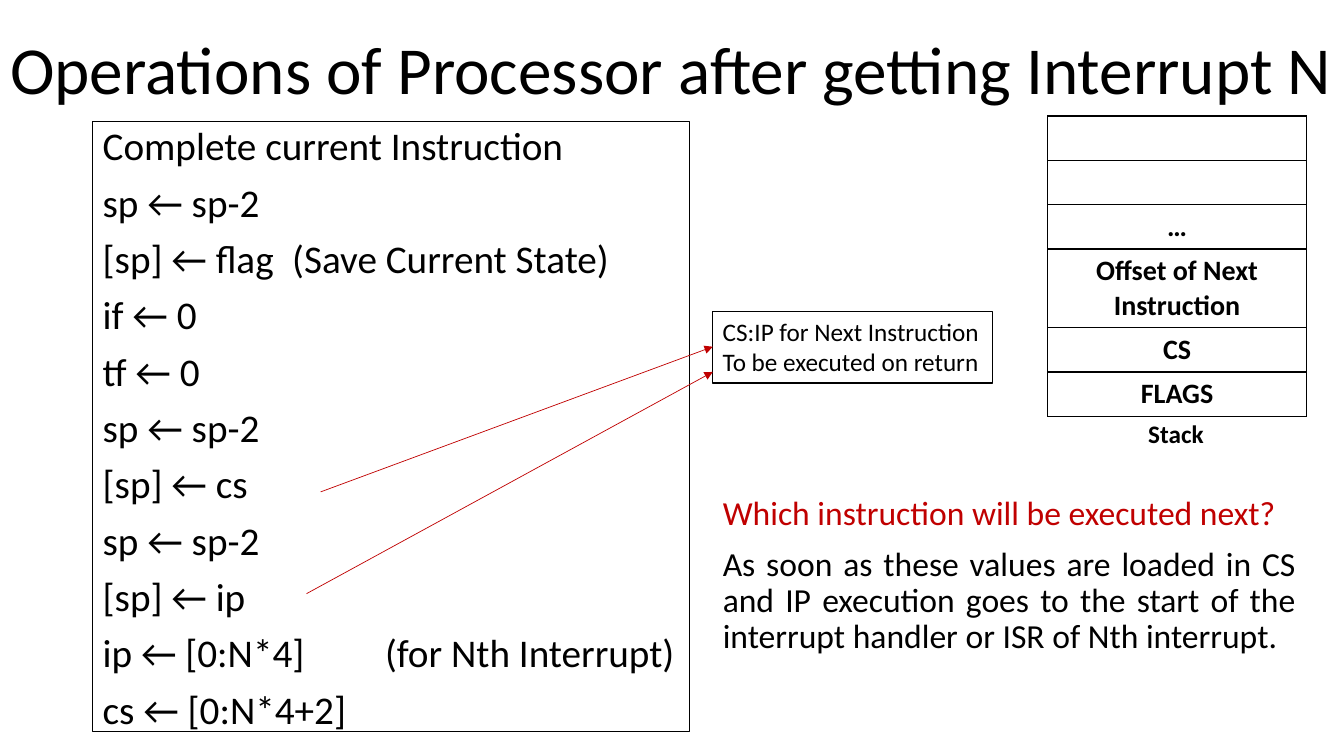
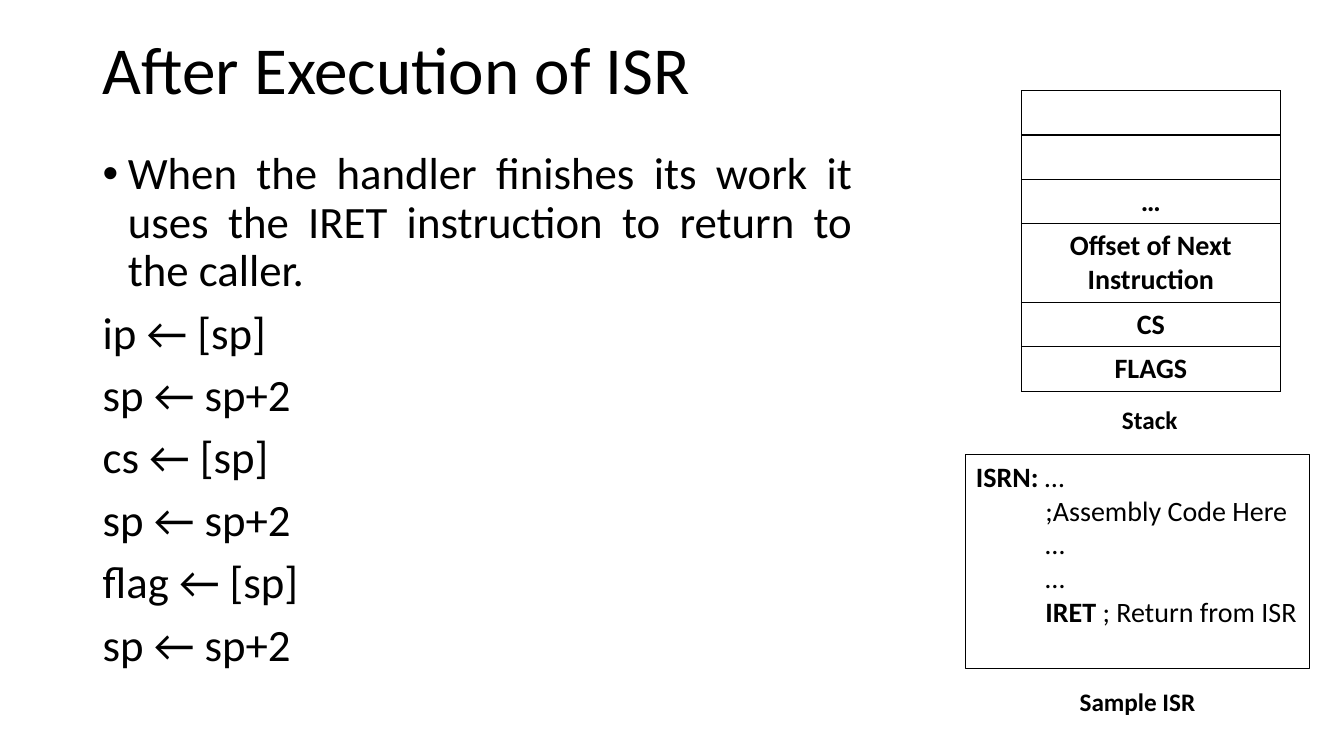
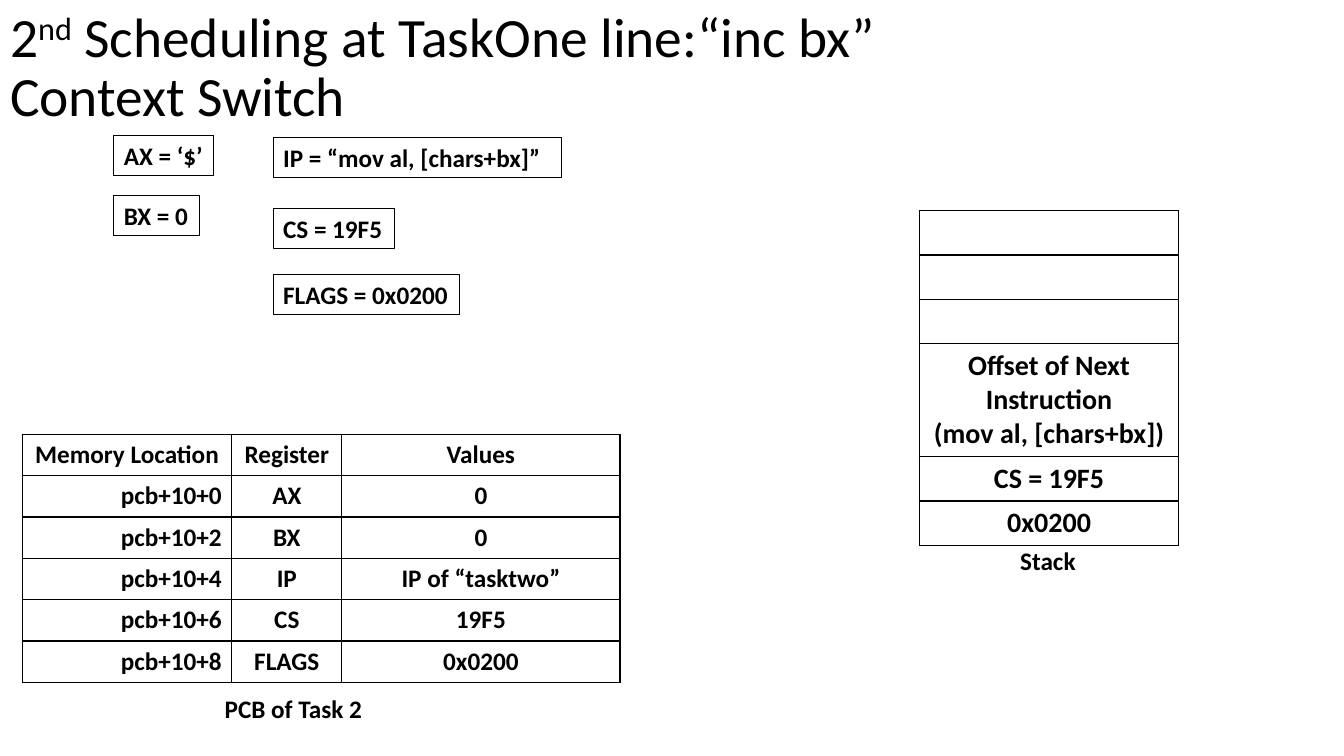
"""Build three slides on interrupt handling, the stack and a context switch."""
from dataclasses import dataclass

from lxml import etree
from pptx import Presentation
from pptx.dml.color import RGBColor
from pptx.enum.shapes import MSO_CONNECTOR, MSO_SHAPE
from pptx.enum.text import MSO_ANCHOR, MSO_AUTO_SIZE, PP_ALIGN
from pptx.oxml.ns import qn
from pptx.util import Pt

LEFT, CENTER, RIGHT = PP_ALIGN.LEFT, PP_ALIGN.CENTER, PP_ALIGN.RIGHT
JUSTIFY = PP_ALIGN.JUSTIFY
TOP, MIDDLE = MSO_ANCHOR.TOP, MSO_ANCHOR.MIDDLE
FIXED_SIZE = MSO_AUTO_SIZE.NONE
RECTANGLE = MSO_SHAPE.RECTANGLE
STRAIGHT = MSO_CONNECTOR.STRAIGHT
TITLE_ONLY = 5
EMU_PER_PX = 9144


@dataclass(frozen=True)
class Theme:
    """Colours, font, type sizes and line widths."""
    font: str = "Calibri"
    ink: str = "000000"
    paper: str = "FFFFFF"
    accent: str = "C00000"
    title: float = 48
    long_title: float = 39.6
    body: int = 32
    steps: int = 28
    question: int = 24
    stack: int = 20
    label: int = 18
    box_line: float = 0.75
    arrow_line: float = 0.5
    cell_line: float = 1


THEME = Theme()
SLIDE_SIZE = (1333, 750)
STACK_WIDTH = 257
STACK_LINE, STACK_PADDING = 34, 10
PCB_ROW = 41
BULLET_INDENT = 25
CODE_INDENT = 69
PROSE = {"line_spacing": 0.9, "space_before": 10}
BOLD = {"bold": True}

INTERRUPT = {
    "title": ["Operations of Processor after getting Interrupt N"],
    "steps": [
        "Complete current Instruction",
        "sp ← sp-2",
        "[sp] ← flag\t(Save Current State)",
        "if ← 0",
        "tf ← 0",
        "sp ← sp-2",
        "[sp] ← cs",
        "sp ← sp-2",
        "[sp] ← ip",
        "ip ← [0:N*4]\t(for Nth Interrupt)",
        "cs ← [0:N*4+2]",
    ],
    "step_tabs": (188, 280),
    "return_address": ["CS:IP for Next Instruction", "To be executed on return"],
    "question": [
        [("Which instruction will be executed next?", {"color": THEME.accent})],
        "As soon as these values are loaded in CS and IP execution goes to the "
        "start of the interrupt handler or ISR of Nth interrupt.",
    ],
    "arrows": [((318, 488), (707, 344)), ((304, 589), (707, 369))],
}
STACK_AFTER_INTERRUPT = [[], [], ["…"], ["Offset of Next", "Instruction"], ["CS"], ["FLAGS"]]

RETURN = {
    "title": ["After Execution of ISR"],
    "summary": "When the handler finishes its work it uses the IRET instruction "
               "to return to the caller.",
    "steps": ["ip ← [sp]", "sp ← sp+2", "cs ← [sp]", "sp ← sp+2",
              "flag ← [sp]", "sp ← sp+2"],
    "isr_head": [("ISRN: ", BOLD), ("…", {})],
    "isr_body": [";Assembly Code Here", "…", "…",
                 [("IRET", BOLD), (" ; Return from ISR", {})]],
}

SWITCH = {
    "title": ["2", ("nd", {"baseline": 30000}),
              " Scheduling at TaskOne line:“inc bx”\vContext Switch"],
    "registers": [
        ("AX = ‘$’", (113, 134, 99, 40)),
        ("BX = 0", (113, 194, 85, 40)),
        ("IP = “mov al, [chars+bx]”", (271, 136, 286, 40)),
        ("CS = 19F5", (271, 207, 120, 40)),
        ("FLAGS = 0x0200", (271, 272, 185, 40)),
    ],
    "stack": [[], [], [], ["Offset of Next", "Instruction", "(mov al, [chars+bx])"],
              ["CS = 19F5"], ["0x0200"]],
    "pcb_widths": (208, 109, 276),
    "pcb_header": ("Memory Location", "Register", "Values"),
    "pcb": [("AX", "0"), ("BX", "0"), ("IP", "IP of “tasktwo”"),
            ("CS", "19F5"), ("FLAGS", "0x0200")],
}


def px(value):
    """Turn pixels into EMU."""
    return round(value * EMU_PER_PX)


def add_run(paragraph, text, size, color=THEME.ink, bold=False, baseline=None):
    """Add one formatted run, with a line break at each vertical tab."""
    for index, part in enumerate(text.split("\v")):
        if index:
            paragraph.add_line_break()
        run = paragraph.add_run()
        run.text = part
        run.font.name = THEME.font
        run.font.size = Pt(size)
        run.font.bold = bold
        run.font.color.rgb = RGBColor.from_string(color)
        if baseline:
            run.font._element.set("baseline", str(baseline))


def write(frame, paragraphs, size, align=LEFT, bold=False, line_spacing=None,
          space_before=None):
    """Fill a text frame with paragraphs, each a string or a list of runs."""
    for index, runs in enumerate(paragraphs):
        paragraph = frame.add_paragraph() if index else frame.paragraphs[0]
        paragraph.alignment = align
        if line_spacing:
            paragraph.line_spacing = line_spacing
        if space_before:
            paragraph.space_before = Pt(space_before)
        for run in [runs] if isinstance(runs, str) else runs:
            text, style = (run, {}) if isinstance(run, str) else run
            add_run(paragraph, text, size, **{"bold": bold, **style})


def indent(paragraph, left, first=0):
    """Set the left margin and first-line indent of a paragraph."""
    properties = paragraph._p.get_or_add_pPr()
    properties.set("marL", str(px(left)))
    properties.set("indent", str(px(first)))
    return properties


def add_bullet(paragraph):
    """Give a paragraph a hanging round bullet."""
    properties = indent(paragraph, BULLET_INDENT, -BULLET_INDENT)
    etree.SubElement(properties, qn("a:buFont"), typeface="Arial")
    etree.SubElement(properties, qn("a:buChar"), char="•")


def add_tabs(paragraph, stops):
    """Give a paragraph left tab stops."""
    tabs = etree.SubElement(paragraph._p.get_or_add_pPr(), qn("a:tabLst"))
    for stop in stops:
        etree.SubElement(tabs, qn("a:tab"), pos=str(px(stop)), algn="l")


def add_title(presentation, runs, place, size=THEME.title):
    """Add a slide with its title and return the slide."""
    slide = presentation.slides.add_slide(presentation.slide_layouts[TITLE_ONLY])
    title = slide.shapes.title
    title.left, title.top, title.width, title.height = map(px, place)
    frame = title.text_frame
    frame.auto_size = FIXED_SIZE
    frame.word_wrap = True
    frame.vertical_anchor = MIDDLE
    write(frame, [runs], size, line_spacing=PROSE["line_spacing"])
    return slide


def add_text(slide, paragraphs, place, size, boxed=False, right_inset=0, **style):
    """Add text, outlined when boxed, and return its frame."""
    place = map(px, place)
    if boxed:
        shape = slide.shapes.add_shape(RECTANGLE, *place)
        shape.shadow.inherit = False
        shape.fill.background()
        shape.line.color.rgb = RGBColor.from_string(THEME.ink)
        shape.line.width = Pt(THEME.box_line)
    else:
        shape = slide.shapes.add_textbox(*place)
    frame = shape.text_frame
    frame.word_wrap = True
    frame.auto_size = FIXED_SIZE
    frame.vertical_anchor = TOP
    frame.margin_right = px(right_inset)
    write(frame, paragraphs, size, **style)
    return frame


def add_label(slide, text, place, boxed=False):
    """Add a bold one-line label."""
    add_text(slide, [text], place, THEME.label, boxed, bold=True)


def add_arrow(slide, start, end):
    """Add a thin accent arrow."""
    arrow = slide.shapes.add_connector(STRAIGHT, *map(px, (*start, *end)))
    arrow.line.color.rgb = RGBColor.from_string(THEME.accent)
    arrow.line.width = Pt(THEME.arrow_line)
    etree.SubElement(arrow.line._get_or_add_ln(), qn("a:tailEnd"), type="triangle")
    etree.SubElement(arrow._element.spPr, qn("a:effectLst"))


def add_borders(cell):
    """Draw a solid line on all four sides of a cell."""
    properties = cell._tc.get_or_add_tcPr()
    for index, side in enumerate(("lnL", "lnR", "lnT", "lnB")):
        line = etree.Element(qn(f"a:{side}"), w=str(Pt(THEME.cell_line)))
        fill = etree.SubElement(line, qn("a:solidFill"))
        etree.SubElement(fill, qn("a:srgbClr"), val=THEME.ink)
        properties.insert(index, line)


def add_grid(slide, rows, corner, widths, heights, size, aligns):
    """Add a plain ruled table; each cell is a list of paragraphs."""
    place = (*corner, sum(widths), sum(heights))
    table = slide.shapes.add_table(len(rows), len(widths), *map(px, place)).table
    table.first_row = table.horz_banding = False
    for column, width in zip(table.columns, widths):
        column.width = px(width)
    for row, height, contents, row_aligns in zip(table.rows, heights, rows, aligns):
        row.height = px(height)
        for cell, paragraphs, align in zip(row.cells, contents, row_aligns):
            cell.fill.solid()
            cell.fill.fore_color.rgb = RGBColor.from_string(THEME.paper)
            add_borders(cell)
            write(cell.text_frame, paragraphs, size, align, bold=True)


def add_stack(slide, entries, corner, label_top):
    """Add a one-column stack with its caption."""
    heights = [STACK_PADDING + STACK_LINE * max(1, len(entry)) for entry in entries]
    add_grid(slide, [[[" ".join(entry)] if len(entry) == 2 else entry]
                     for entry in entries],
             corner, [STACK_WIDTH], heights, THEME.stack, [[CENTER]] * len(entries))
    add_label(slide, "Stack", (corner[0] + 90, label_top, 76, 40))


def build_interrupt(presentation):
    """Show what the processor does on an interrupt."""
    slide = add_title(presentation, INTERRUPT["title"], (0, 0, 1333, 145))
    add_text(slide, INTERRUPT["question"], (707, 488, 588, 201), THEME.question,
             right_inset=10, align=JUSTIFY, **PROSE)
    add_stack(slide, STACK_AFTER_INTERRUPT, (1039, 115), 410)
    steps = add_text(slide, INTERRUPT["steps"], (92, 121, 592, 605), THEME.steps,
                     boxed=True, **PROSE)
    for paragraph in steps.paragraphs:
        if "\t" in paragraph.text:
            add_tabs(paragraph, INTERRUPT["step_tabs"])
    add_text(slide, INTERRUPT["return_address"], (707, 309, 277, 71), THEME.label,
             boxed=True)
    for start, end in INTERRUPT["arrows"]:
        add_arrow(slide, start, end)


def build_return(presentation):
    """Show the return from the service routine."""
    slide = add_title(presentation, RETURN["title"], (92, 0, 1150, 145))
    body = add_text(slide, [RETURN["summary"], *RETURN["steps"]], (92, 145, 764, 572),
                    THEME.body, right_inset=10, **PROSE)
    body.paragraphs[0].alignment = JUSTIFY
    add_bullet(body.paragraphs[0])
    code = add_text(slide, [RETURN["isr_head"], *RETURN["isr_body"]],
                    (958, 451, 341, 212), THEME.stack, boxed=True)
    for paragraph in code.paragraphs[1:]:
        indent(paragraph, CODE_INDENT)
    add_label(slide, "Sample ISR", (1061, 676, 136, 40))
    add_stack(slide, STACK_AFTER_INTERRUPT, (1013, 90), 396)


def build_switch(presentation):
    """Show registers, control block and stack at a context switch."""
    slide = add_title(presentation, SWITCH["title"], (0, 31, 1242, 75),
                      THEME.long_title)
    records = [(f"pcb+10+{2 * index}", *record)
               for index, record in enumerate(SWITCH["pcb"])]
    rows = [[[text] for text in row] for row in (SWITCH["pcb_header"], *records)]
    aligns = [[CENTER] * 3] + [[RIGHT, CENTER, CENTER]] * len(records)
    add_grid(slide, rows, (22, 431), SWITCH["pcb_widths"], [PCB_ROW] * len(rows),
             THEME.label, aligns)
    add_label(slide, "PCB of Task 2", (213, 683, 158, 40))
    add_stack(slide, SWITCH["stack"], (912, 209), 536)
    for text, place in SWITCH["registers"]:
        add_label(slide, text, place, boxed=True)


def main():
    """Build and save the presentation."""
    presentation = Presentation()
    presentation.slide_width, presentation.slide_height = map(px, SLIDE_SIZE)
    for build in (build_interrupt, build_return, build_switch):
        build(presentation)
    presentation.save("out.pptx")


if __name__ == "__main__":
    main()
